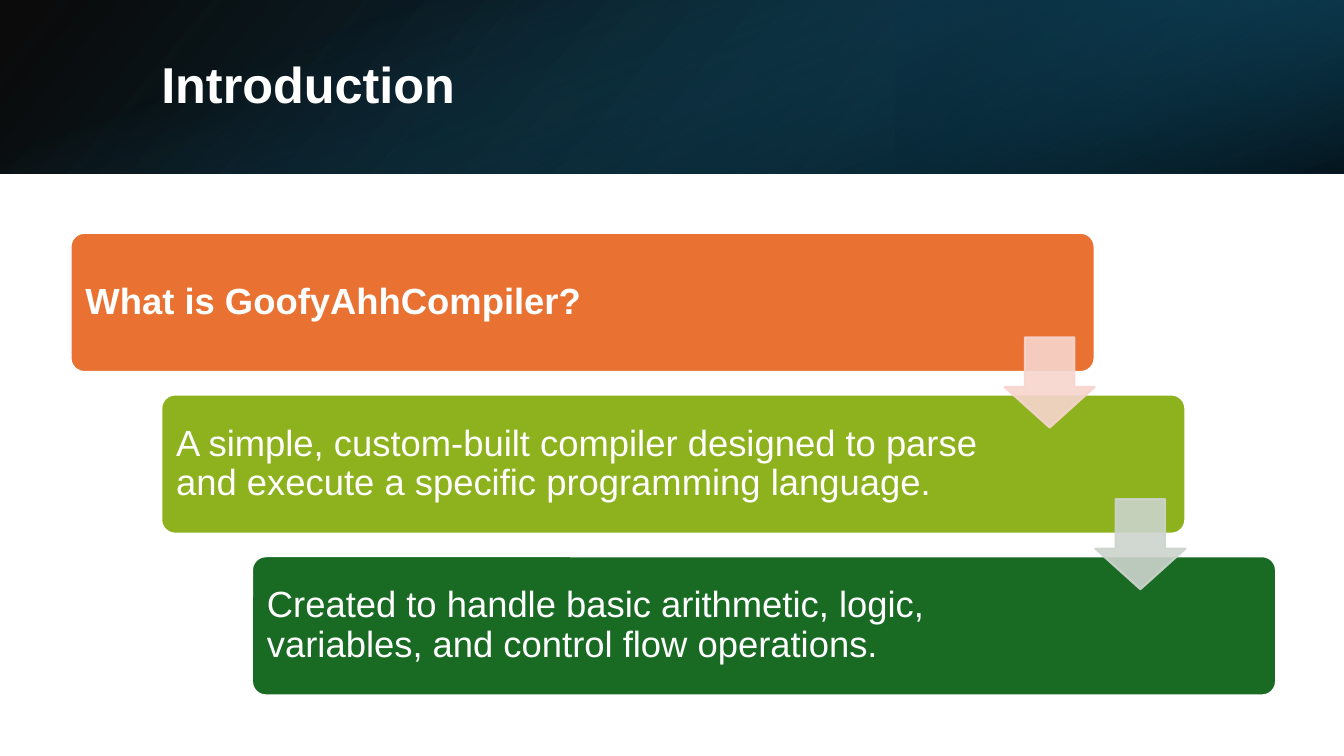
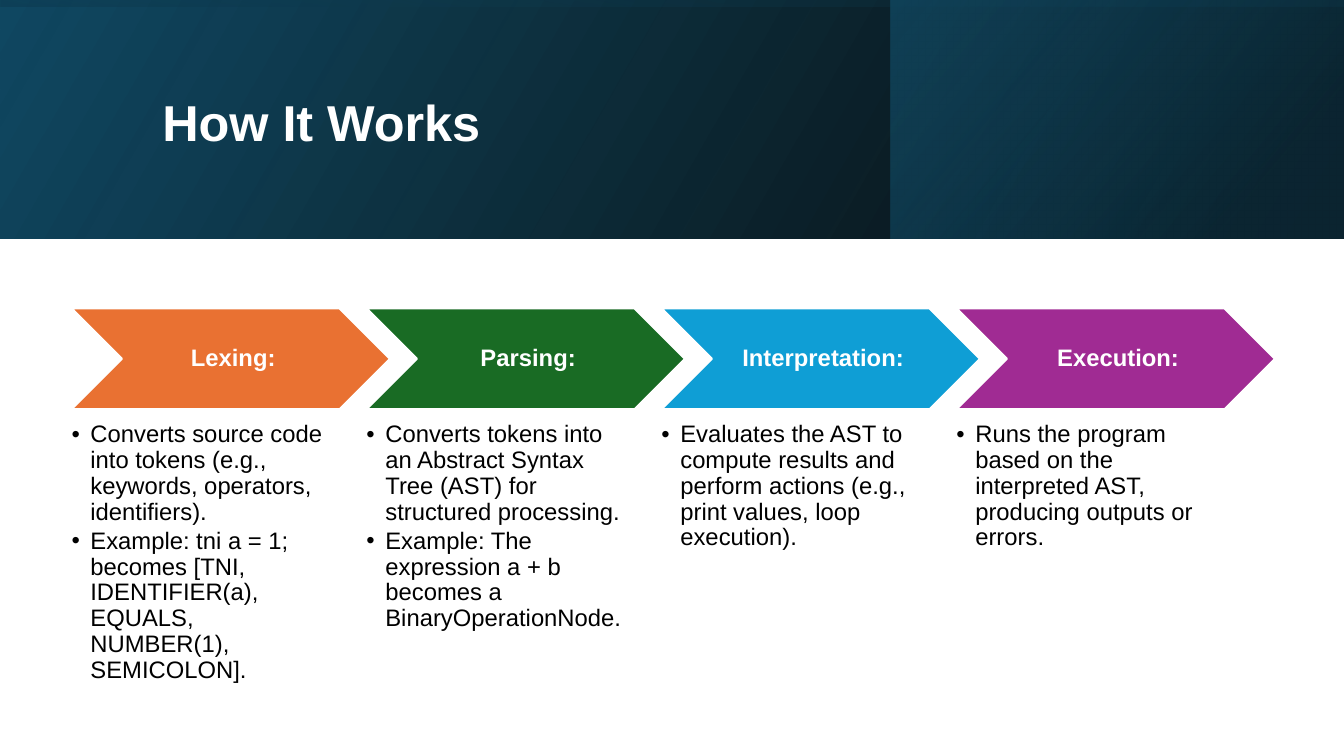
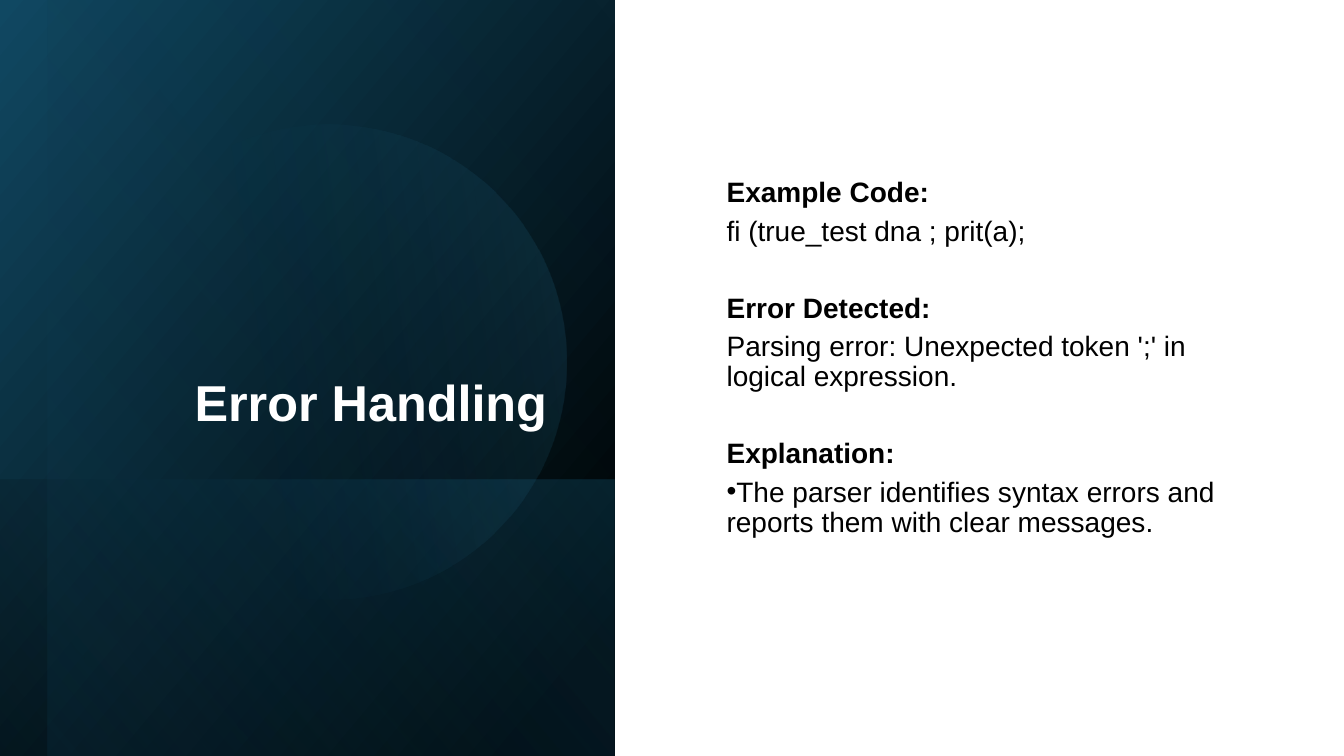
from dataclasses import dataclass

from lxml.etree import SubElement
from pptx import Presentation
from pptx.dml.color import RGBColor
from pptx.enum.shapes import MSO_SHAPE
from pptx.enum.text import MSO_ANCHOR, MSO_AUTO_SIZE, PP_ALIGN
from pptx.oxml.ns import qn
from pptx.util import Pt

FONT = "Arial"
WHITE = RGBColor(0xFF, 0xFF, 0xFF)
BLACK = RGBColor(0x00, 0x00, 0x00)
NAVY = RGBColor(0x10, 0x48, 0x62)
DEEP = RGBColor(0x0B, 0x30, 0x41)
TEAL = RGBColor(0x15, 0x60, 0x82)
SKY = RGBColor(0x46, 0xB1, 0xE1)
ORANGE = RGBColor(0xE9, 0x71, 0x32)
LIME = RGBColor(0x8E, 0xB2, 0x1E)
GREEN = RGBColor(0x19, 0x6B, 0x24)
BLUE = RGBColor(0x0F, 0x9E, 0xD5)
PURPLE = RGBColor(0xA0, 0x2B, 0x93)
PINK = RGBColor(0xF7, 0xD5, 0xCE)
GREY = RGBColor(0xCC, 0xD4, 0xCD)

SLIDE_W, SLIDE_H = 960, 540


@dataclass(frozen=True)
class Box:
    left: float
    top: float
    width: float
    height: float

    def emu(self) -> tuple[Pt, Pt, Pt, Pt]:
        return Pt(self.left), Pt(self.top), Pt(self.width), Pt(self.height)

    def turned(self) -> "Box":
        """Frame that covers this box once it is rotated by a quarter turn."""
        shift = (self.width - self.height) / 2
        return Box(self.left + shift, self.top - shift, self.height, self.width)


@dataclass(frozen=True)
class Stop:
    position: int
    color: RGBColor
    opacity: int = 100


@dataclass(frozen=True)
class Band:
    """Gradient layer: the area it covers, and a clockwise gradient angle."""
    area: Box
    stops: tuple[Stop, Stop]
    angle: float
    rotation: float = 0
    flip: bool = True
    kind: MSO_SHAPE = MSO_SHAPE.RECTANGLE


@dataclass(frozen=True)
class Step:
    text: str
    color: RGBColor
    bold: bool = False


@dataclass(frozen=True)
class Stage:
    name: str
    color: RGBColor
    points: tuple[str, ...]


HEAD_1 = Box(0, 0, SLIDE_W, 123.8)
HEAD_2 = Box(0, 0, SLIDE_W, 170.7)
PANEL = Box(0, 0, 439.2, SLIDE_H)

INTRO_BANDS = (
    Band(HEAD_1, (Stop(0, BLACK, 96), Stop(100, NAVY)), 140),
    Band(Box(640, 0, 320, 123.8), (Stop(19, DEEP, 68), Stop(100, TEAL, 79)), 320, 180),
    Band(HEAD_1, (Stop(23, TEAL, 0), Stop(99, BLACK, 74)), 340, 90, False),
)
WORKS_BANDS = (
    Band(HEAD_2, (Stop(0, BLACK, 96), Stop(100, NAVY)), 330),
    Band(Box(636.5, 0, 322.8, 170.7), (Stop(19, DEEP, 68), Stop(100, TEAL, 48)), 320),
    Band(HEAD_2, (Stop(23, NAVY, 16), Stop(99, BLACK, 45)), 350, 270),
)
ERROR_BANDS = (
    Band(PANEL, (Stop(8, BLACK), Stop(100, NAVY)), 50, 90),
    Band(Box(0, 342.7, 439, 197.3), (Stop(2, TEAL, 29), Stop(100, BLACK, 30)), 130, 90),
    Band(Box(33.8, 0, 405.4, SLIDE_H), (Stop(0, BLACK, 0), Stop(99, TEAL, 11)), 130, 90),
    Band(Box(64.8, 88.6, 339.8, 339.8), (Stop(39, TEAL, 0), Stop(100, SKY, 15)), 290,
         101.6, kind=MSO_SHAPE.OVAL),
)

STEPS = (
    Step("What is GoofyAhhCompiler?", ORANGE, True),
    Step("A simple, custom-built compiler designed to parse and execute a specific "
         "programming language.", LIME),
    Step("Created to handle basic arithmetic, logic, variables, and control flow "
         "operations.", GREEN),
)
ARROW_COLORS = (PINK, GREY)
STEP_DX, STEP_DY = 64.8, 115.5

STAGES = (
    Stage("Lexing:", ORANGE, (
        "Converts source code into tokens (e.g., keywords, operators, identifiers).",
        "Example: tni a = 1; becomes [TNI, IDENTIFIER(a), EQUALS, NUMBER(1), SEMICOLON].")),
    Stage("Parsing:", GREEN, (
        "Converts tokens into an Abstract Syntax Tree (AST) for structured processing.",
        "Example: The expression a + b becomes a BinaryOperationNode.")),
    Stage("Interpretation:", BLUE, (
        "Evaluates the AST to compute results and perform actions (e.g., print values, "
        "loop execution).",)),
    Stage("Execution:", PURPLE, (
        "Runs the program based on the interpreted AST, producing outputs or errors.",)),
)
STAGE_DX = 210.7

ERROR_NOTES = (
    ("Example Code:", "fi (true_test dna ; prit(a);"),
    ("Error Detected:", "Parsing error: Unexpected token ';' in logical expression."),
    ("Explanation:", "The parser identifies syntax errors and reports them with clear messages."),
)


def set_opacity(clr, percent: float) -> None:
    SubElement(clr, qn("a:alpha")).set("val", str(int(percent * 1000)))


def set_bullet(p, indent: float = 0) -> None:
    pPr = p._p.get_or_add_pPr()
    pPr.set("marL", str(Pt(indent)))
    pPr.set("indent", str(-Pt(indent)))
    SubElement(pPr, qn("a:buFont")).set("typeface", FONT)
    SubElement(pPr, qn("a:buChar")).set("char", "•")


def set_frame(tf, anchor: MSO_ANCHOR, insets=(7.2, 3.6, 7.2, 3.6)) -> None:
    tf.word_wrap = True
    tf.auto_size = MSO_AUTO_SIZE.NONE
    tf.vertical_anchor = anchor
    tf.margin_left, tf.margin_top, tf.margin_right, tf.margin_bottom = map(Pt, insets)


def write(p, text: str, size: float, color: RGBColor, bold: bool = False,
          align: PP_ALIGN = PP_ALIGN.LEFT, after: float = 0, before: float = 0) -> None:
    p.text = text
    p.alignment = align
    p.line_spacing = 0.9
    p.space_before, p.space_after = Pt(before), Pt(after)
    font = p.runs[0].font
    font.name, font.size, font.bold = FONT, Pt(size), bold
    font.color.rgb = color


def add_paragraph(tf):
    """The frame's first paragraph while it is empty, then new ones."""
    return tf.paragraphs[0] if not tf.text else tf.add_paragraph()


def add_solid(slide, kind: MSO_SHAPE, box: Box, color: RGBColor, line: RGBColor = WHITE):
    sp = slide.shapes.add_shape(kind, *box.emu())
    sp.shadow.inherit = False
    sp.fill.solid()
    sp.fill.fore_color.rgb = color
    sp.line.color.rgb = line
    sp.line.width = Pt(1.5)
    return sp


def add_band(slide, band: Band) -> None:
    frame = band.area.turned() if band.rotation in (90, 270) else band.area
    sp = slide.shapes.add_shape(band.kind, *frame.emu())
    sp.shadow.inherit = False
    sp.line.fill.background()
    sp.rotation = band.rotation
    spPr = sp._element.spPr
    if band.flip:
        spPr.get_or_add_xfrm().set("flipH", "1")
    sp.fill.gradient()
    sp.fill.gradient_angle = 360 - band.angle
    for target, stop in zip(sp.fill.gradient_stops, band.stops):
        target.position = stop.position / 100
        target.color.rgb = stop.color
    for clr, stop in zip(spPr.iter(qn("a:srgbClr")), band.stops):
        set_opacity(clr, stop.opacity)


def add_titled_slide(prs, title: str, box: Box, bands: tuple[Band, ...],
                     anchor: MSO_ANCHOR = MSO_ANCHOR.MIDDLE,
                     align: PP_ALIGN = PP_ALIGN.LEFT):
    slide = prs.slides.add_slide(prs.slide_layouts[5])
    for band in bands:
        add_band(slide, band)
    sp = slide.shapes.title
    slide.shapes._spTree.append(sp._element)  # bring the title in front of the bands
    sp.left, sp.top, sp.width, sp.height = box.emu()
    set_frame(sp.text_frame, anchor)
    write(sp.text_frame.paragraphs[0], title, 36, WHITE, True, align)
    return slide


def build_introduction(prs) -> None:
    slide = add_titled_slide(prs, "Introduction", Box(108, 27.4, 790.6, 69.1), INTRO_BANDS)
    for i, step in enumerate(STEPS):
        box = Box(50.4 + i * STEP_DX, 166.3 + i * STEP_DY, 731.5, 99.4)
        sp = add_solid(slide, MSO_SHAPE.ROUNDED_RECTANGLE, box, step.color)
        sp.adjustments[0] = 0.1
        set_frame(sp.text_frame, MSO_ANCHOR.MIDDLE, (7.8, 7.8, 137, 7.8))
        write(sp.text_frame.paragraphs[0], step.text, 26, WHITE, step.bold)
    for i, color in enumerate(ARROW_COLORS):
        box = Box(717.6 + i * STEP_DX, 241 + i * STEP_DY, 64.4, 64.4)
        sp = add_solid(slide, MSO_SHAPE.DOWN_ARROW, box, color, color)
        sp.adjustments[0], sp.adjustments[1] = 0.55, 0.45
        for clr in sp._element.spPr.iter(qn("a:srgbClr")):
            set_opacity(clr, 90)


def build_how_it_works(prs) -> None:
    slide = add_titled_slide(prs, "How It Works", Box(108.7, 27.4, 765.4, 123.8), WORKS_BANDS)
    for i, stage in enumerate(STAGES):
        left = 51.1 + i * STAGE_DX
        sp = add_solid(slide, MSO_SHAPE.CHEVRON, Box(left, 220.3, 227.5, 72), stage.color)
        set_frame(sp.text_frame, MSO_ANCHOR.MIDDLE, (5, 1.5, 1.5, 1.5))
        write(sp.text_frame.paragraphs[0], stage.name, 17, WHITE, True, PP_ALIGN.CENTER)
        tf = slide.shapes.add_textbox(*Box(left, 301.7, 182.2, 180.7).emu()).text_frame
        set_frame(tf, MSO_ANCHOR.TOP, (0, 0, 0, 0))
        for point in stage.points:
            p = add_paragraph(tf)
            write(p, point, 17, BLACK, after=2.6)
            set_bullet(p, 13.5)


def build_error_handling(prs) -> None:
    slide = add_titled_slide(prs, "Error Handling", Box(64.8, 46.1, 333.4, 266.4),
                             ERROR_BANDS, MSO_ANCHOR.BOTTOM, PP_ALIGN.RIGHT)
    tf = slide.shapes.add_textbox(*Box(511.9, 51.1, 383, 410).emu()).text_frame
    set_frame(tf, MSO_ANCHOR.MIDDLE)
    for i, (heading, detail) in enumerate(ERROR_NOTES):
        write(add_paragraph(tf), heading, 20, BLACK, True, after=6, before=27 if i else 0)
        p = add_paragraph(tf)
        write(p, detail, 20, BLACK, after=6)
    set_bullet(p)


def main() -> None:
    prs = Presentation()
    prs.slide_width, prs.slide_height = Pt(SLIDE_W), Pt(SLIDE_H)
    build_introduction(prs)
    build_how_it_works(prs)
    build_error_handling(prs)
    prs.save("out.pptx")


if __name__ == "__main__":
    main()
